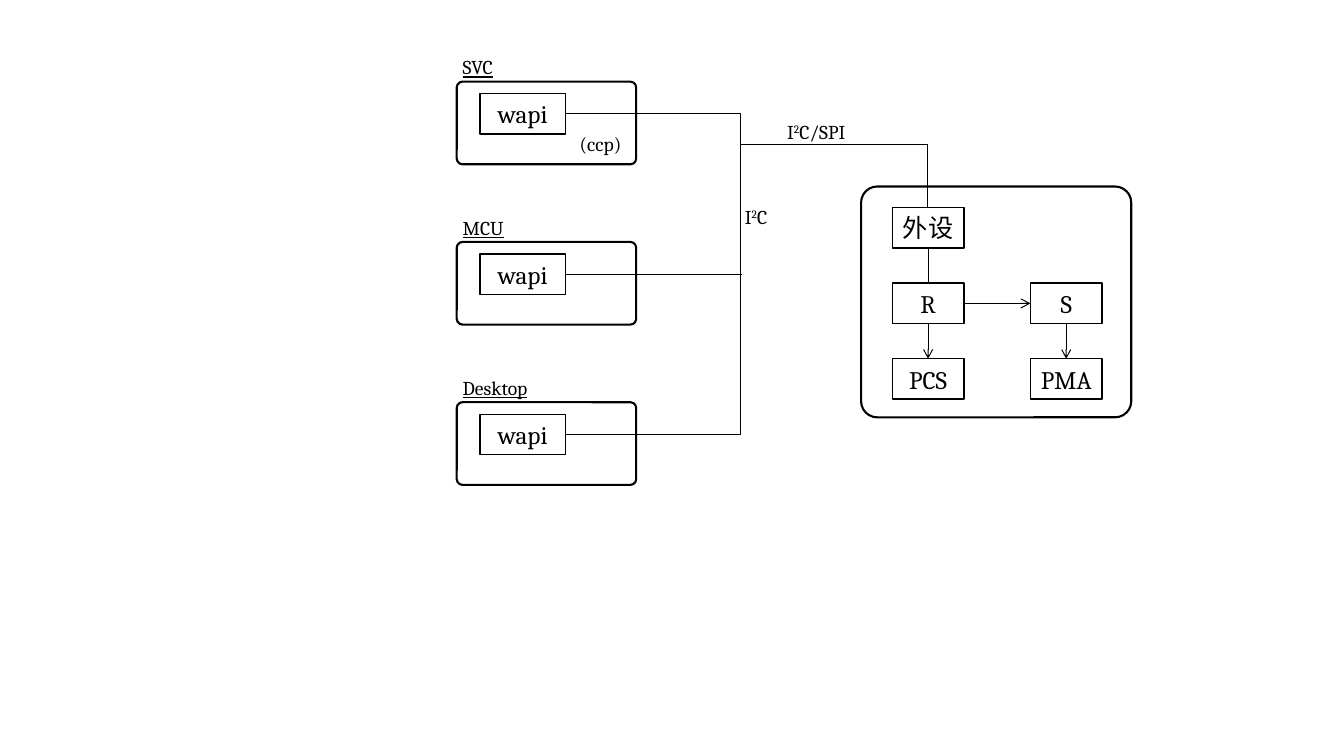
import pptx
import pptx.dml.color
import pptx.enum.shapes
import pptx.enum.text
import pptx.oxml
import pptx.oxml.ns
import pptx.util
import lxml.etree

Inches = pptx.util.Inches
SHAPES = pptx.enum.shapes.MSO_SHAPE
LINKS = pptx.enum.shapes.MSO_CONNECTOR
ALIGN = pptx.enum.text.PP_ALIGN
COLOURS = {"ink": "000000", "paper": "FFFFFF"}
LATIN, CHINESE = "Cambria", "Noto Sans CJK SC"


def colour(name):
    return pptx.dml.color.RGBColor.from_string(COLOURS[name])


def child(parent, tag, **attributes):
    return lxml.etree.SubElement(parent, pptx.oxml.ns.qn(tag), attributes)


def write(para, text, size=14, font=LATIN, underline=False, raised=False):
    span = para.add_run()
    span.text = text
    span.font.size = pptx.util.Pt(size)
    span.font.name = font
    span.font.color.rgb = colour("ink")
    if underline:
        span.font.underline = True
    properties = span._r.get_or_add_rPr()
    child(properties, "a:ea", typeface=font)
    if raised:
        properties.set("baseline", "30000")


class Diagram:
    """Draws boxes, frames, labels and wires on one page."""

    def __init__(self, page):
        self.page = page

    def outline(self, kind, left, top, width, height, weight):
        shape = self.page.shapes.add_shape(
            kind, Inches(left), Inches(top), Inches(width), Inches(height))
        shape.shadow.inherit = False
        shape.line.color.rgb = colour("ink")
        shape.line.width = pptx.util.Pt(weight)
        return shape

    def frame(self, left, top, width, height):
        shape = self.outline(SHAPES.ROUNDED_RECTANGLE, left, top, width, height, 1.5)
        shape.adjustments[0] = 0.07
        shape.fill.background()

    def box(self, text, left, top, width, height=0.4, font=LATIN):
        shape = self.outline(SHAPES.RECTANGLE, left, top, width, height, 1)
        shape.fill.solid()
        shape.fill.fore_color.rgb = colour("paper")
        frame = shape.text_frame
        frame.margin_left = frame.margin_right = 0
        frame.vertical_anchor = pptx.enum.text.MSO_ANCHOR.MIDDLE
        para = frame.paragraphs[0]
        para.alignment = ALIGN.CENTER
        write(para, text, size=18, font=font)

    def label(self, spans, left, top, width, underline=False):
        box = self.page.shapes.add_textbox(
            Inches(left), Inches(top), Inches(width), Inches(0.34))
        box.text_frame.word_wrap = True
        for text, raised in spans:
            write(box.text_frame.paragraphs[0], text, underline=underline, raised=raised)

    def wire(self, start, end, bent=False, arrow=False):
        kind = LINKS.ELBOW if bent else LINKS.STRAIGHT
        link = self.page.shapes.add_connector(
            kind, *[Inches(value) for value in (*start, *end)])
        link.line.color.rgb = colour("ink")
        link.line.width = pptx.util.Pt(0.75)
        properties = link._element.spPr
        if arrow:
            child(link.line._get_or_add_ln(), "a:tailEnd", type="arrow")
        if bent:
            geometry = properties.find(pptx.oxml.ns.qn("a:prstGeom"))
            guides = geometry.find(pptx.oxml.ns.qn("a:avLst"))
            if guides is None:
                guides = child(geometry, "a:avLst")
            child(guides, "a:gd", name="adj1", fmla="val 99900")
        child(properties, "a:effectLst")


def draw_hosts(diagram, bus, branch):
    first, pitch = 0.81, 1.59
    junctions = (branch, branch, first + pitch + 0.32)
    for index, (name, junction) in enumerate(zip(("SVC", "MCU", "Desktop"), junctions)):
        top = first + index * pitch
        diagram.frame(4.53, top, 1.78, 0.82)
        diagram.box("wapi", 4.76, top + 0.12, 0.85)
        diagram.label([(name, False)], 4.49, top - 0.31, 1.25, underline=True)
        diagram.wire((5.61, top + 0.32), (bus, junction), bent=True)
    diagram.label([("(ccp)", False)], 5.65, 1.26, 0.7)


def draw_device(diagram, bus, branch):
    width, height = 0.71, 0.4
    columns, rows = (8.85, 10.22), (2.06, 2.81, 3.56)
    centres = [left + width / 2 for left in columns]
    diagram.frame(8.54, 1.85, 2.68, 2.29)
    for text, column, row, font in (
            ("外设", 0, 0, CHINESE), ("R", 0, 1, LATIN), ("S", 1, 1, LATIN),
            ("PCS", 0, 2, LATIN), ("PMA", 1, 2, LATIN)):
        diagram.box(text, columns[column], rows[row], width, height, font)
    for column, row in ((0, 0), (0, 1), (1, 1)):
        diagram.wire((centres[column], rows[row] + height),
                     (centres[column], rows[row + 1]), arrow=row > 0)
    middle = rows[1] + height / 2
    diagram.wire((columns[0] + width, middle), (columns[1], middle), arrow=True)
    diagram.wire((bus, branch), (centres[0], rows[0]), bent=True)


def main():
    deck = pptx.Presentation()
    deck.slide_width, deck.slide_height = Inches(13.33), Inches(7.5)
    diagram = Diagram(deck.slides.add_slide(deck.slide_layouts[6]))
    bus, branch = 7.35, 1.43
    draw_hosts(diagram, bus, branch)
    draw_device(diagram, bus, branch)
    for ending, left, top in (("C/SPI", 7.71, 1.14), ("C", 7.29, 1.98)):
        diagram.label([("I", False), ("2", True), (ending, False)], left, top, 1.3)
    deck.save("out.pptx")


if __name__ == "__main__":
    main()
